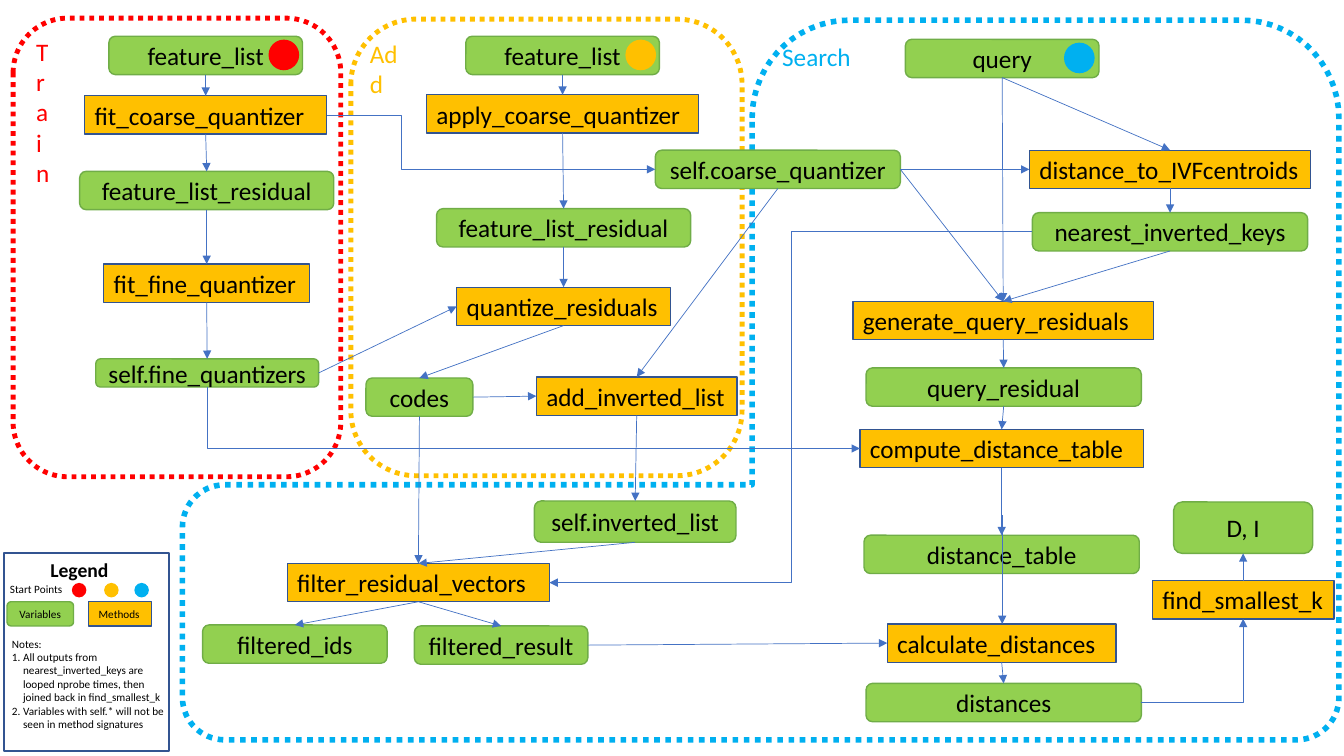
import math

from lxml import etree
from pptx import Presentation
from pptx import util as u
from pptx.dml.color import RGBColor
from pptx.enum import dml, shapes, text
from pptx.oxml.ns import qn

GREEN, AMBER, RED, CYAN = "92D050", "FFC000", "FF0000", "00B0F0"
GREEN_EDGE, NAVY, ARROW, BLACK = "70AD47", "325491", "4472C4", "000000"
RECT = shapes.MSO_SHAPE.RECTANGLE
ROUND = shapes.MSO_SHAPE.ROUNDED_RECTANGLE
OVAL = shapes.MSO_SHAPE.OVAL
TOP, LEFT, BOTTOM, RIGHT = range(4)

VARIABLES = {
    "train:feature_list": (1.08, 0.36, 1.92, 0.38),
    "train:feature_list_residual": (0.79, 1.7, 2.52, 0.38),
    "self.fine_quantizers": (0.95, 3.56, 2.21, 0.28),
    "add:feature_list": (4.62, 0.36, 1.92, 0.38),
    "add:feature_list_residual": (4.33, 2.07, 2.52, 0.38),
    "self.coarse_quantizer": (6.5, 1.49, 2.43, 0.38),
    "codes": (3.63, 3.75, 1.06, 0.38),
    "self.inverted_list": (5.3, 4.97, 2, 0.41),
    "query": (8.98, 0.39, 1.92, 0.38),
    "nearest_inverted_keys": (10.24, 2.11, 2.73, 0.38),
    "query_residual": (8.59, 3.65, 2.73, 0.38),
    "distance_table": (8.57, 5.31, 2.73, 0.38),
    "distances": (8.59, 6.78, 2.73, 0.38),
    "filtered_ids": (2.01, 6.2, 1.83, 0.38),
    "filtered_result": (4.11, 6.21, 1.72, 0.38),
    "D, I": (11.64, 4.98, 1.38, 0.51),
}
METHODS = {
    "fit_coarse_quantizer": (0.84, 0.95, 2.4, 0.38),
    "fit_fine_quantizer": (1.03, 2.62, 2.04, 0.38),
    "apply_coarse_quantizer": (4.23, 0.94, 2.7, 0.38),
    "quantize_residuals": (4.53, 2.85, 2.12, 0.38),
    "add_inverted_list": (5.32, 3.74, 1.99, 0.38),
    "distance_to_IVFcentroids": (10.21, 1.49, 2.79, 0.38),
    "generate_query_residuals": (8.46, 2.99, 2.98, 0.38),
    "compute_distance_table": (8.53, 4.26, 2.81, 0.38),
    "filter_residual_vectors": (2.85, 5.59, 2.6, 0.38),
    "calculate_distances": (8.8, 6.19, 2.27, 0.38),
    "find_smallest_k": (11.43, 5.76, 1.8, 0.38),
}
DOWNWARD = [
    ("train:feature_list", "fit_coarse_quantizer"),
    ("fit_coarse_quantizer", "train:feature_list_residual"),
    ("train:feature_list_residual", "fit_fine_quantizer"),
    ("fit_fine_quantizer", "self.fine_quantizers"),
    ("add:feature_list", "apply_coarse_quantizer"),
    ("apply_coarse_quantizer", "add:feature_list_residual"),
    ("add:feature_list_residual", "quantize_residuals"),
    ("quantize_residuals", "codes"),
    ("self.coarse_quantizer", "add_inverted_list"),
    ("add_inverted_list", "self.inverted_list"),
    ("self.inverted_list", "filter_residual_vectors"),
    ("codes", "filter_residual_vectors"),
    ("filter_residual_vectors", "filtered_ids"),
    ("filter_residual_vectors", "filtered_result"),
    ("query", "distance_to_IVFcentroids"),
    ("query", "generate_query_residuals"),
    ("distance_to_IVFcentroids", "nearest_inverted_keys"),
    ("nearest_inverted_keys", "generate_query_residuals"),
    ("generate_query_residuals", "query_residual"),
    ("query_residual", "compute_distance_table"),
    ("compute_distance_table", "distance_table"),
    ("calculate_distances", "distances"),
]
SIDEWAYS = [
    ("self.fine_quantizers", "quantize_residuals"),
    ("codes", "add_inverted_list"),
    ("self.coarse_quantizer", "distance_to_IVFcentroids"),
    ("filtered_result", "calculate_distances"),
]


def colour(value):
    """Turn a hex string into a colour."""
    return RGBColor.from_string(value)


def inches(box):
    """Turn a tuple of numbers into lengths."""
    return [u.Inches(value) for value in box]


def style(shape, fill, edge, width, dash=None):
    """Set fill and outline, without a shadow."""
    shape.shadow.inherit = False
    if fill:
        shape.fill.solid()
        shape.fill.fore_color.rgb = colour(fill)
    else:
        shape.fill.background()
    shape.line.color.rgb = colour(edge)
    shape.line.width = u.Pt(width)
    if dash:
        shape.line.dash_style = dash


def add_figure(page, kind, box, fill, edge, width=1, dash=None):
    """Add a styled preset shape."""
    shape = page.shapes.add_shape(kind, *inches(box))
    style(shape, fill, edge, width, dash)
    return shape


def write(para, words, size, ink=BLACK, bold=False):
    """Add one run to a paragraph."""
    span = para.add_run()
    span.text = words
    span.font.name = "Calibri"
    span.font.size = u.Pt(size)
    span.font.bold = bold
    span.font.color.rgb = colour(ink)


def add_node(page, words, box, is_variable, size=18):
    """Add a green variable or an amber method."""
    look = (ROUND, GREEN, GREEN_EDGE) if is_variable else (RECT, AMBER, NAVY)
    node = add_figure(page, look[0], box, *look[1:])
    para = node.text_frame.paragraphs[0]
    para.alignment = text.PP_ALIGN.CENTER if is_variable else text.PP_ALIGN.LEFT
    write(para, words, size)
    return node


def add_label(page, words, box, size, ink=BLACK, bold=False, wrap=True):
    """Add a text box and return its frame."""
    frame = page.shapes.add_textbox(*inches(box)).text_frame
    frame.word_wrap = wrap
    write(frame.paragraphs[0], words, size, ink, bold)
    return frame


def add_arrow(page, points, elbow=None, bend=None, end="tailEnd"):
    """Add a thin arrow between two points."""
    kind = shapes.MSO_CONNECTOR.ELBOW if elbow else shapes.MSO_CONNECTOR.STRAIGHT
    arrow = page.shapes.add_connector(kind, *inches(points))
    arrow.line.color.rgb = colour(ARROW)
    arrow.line.width = u.Pt(0.5)
    etree.SubElement(arrow.line._get_or_add_ln(), qn("a:" + end), type="triangle")
    properties = arrow._element.spPr
    etree.SubElement(properties, qn("a:effectLst"))
    if elbow:
        geometry = properties.find(qn("a:prstGeom"))
        geometry.set("prst", elbow)
        if bend:
            guides = geometry.get_or_add_avLst()
            etree.SubElement(guides, qn("a:gd"), name="adj1", fmla=f"val {bend}")
    return arrow


def link(page, nodes, source, start, target, finish, **options):
    """Glue an arrow to the sides of two nodes."""
    arrow = add_arrow(page, (0, 0, 0, 0), **options)
    arrow.begin_connect(nodes[source], start)
    arrow.end_connect(nodes[target], finish)


def add_search_panel(page):
    """Draw the stepped, rounded outline of the search stage."""
    corners = [(8.43, 1.17, 0.97, 180), (12.31, 1.17, 0.97, 270), (12.86, 6.92, 0.42, 0),
               (2.23, 6.92, 0.42, 90), (2.23, 5.23, 0.42, 180)]
    points = [inches((x + r * math.cos(math.radians(start + step)),
                      y + r * math.sin(math.radians(start + step))))
              for x, y, r, start in corners for step in range(0, 91, 6)]
    points.append(inches((7.46, 4.81)))
    outline = page.shapes.build_freeform(*points[0])
    outline.add_line_segments(points[1:], close=True)
    style(outline.convert_to_shape(), None, CYAN, 4, dml.MSO_LINE.ROUND_DOT)


def add_legend(page):
    """Draw the legend with its notes."""
    add_figure(page, RECT, (0.04, 5.49, 1.64, 1.96), None, NAVY, 1.5)
    add_label(page, "Legend", (0.4, 5.49, 0.78, 0.34), 14, bold=True, wrap=False)
    add_label(page, "Start Points", (0, 5.73, 0.86, 0.24), 8)
    add_node(page, "Variables", (0.07, 5.97, 0.66, 0.24), True, 8)
    add_node(page, "Methods", (0.88, 5.97, 0.62, 0.24), False, 8)
    notes = add_label(page, "Notes:", (0.02, 6.27, 1.82, 1.04), 8)
    for words in ("All outputs from nearest_inverted_keys are looped nprobe times, "
                  "then joined back in find_smallest_k",
                  "Variables with self.* will not be seen in method signatures"):
        para = notes.add_paragraph()
        write(para, words, 8)
        layout = para._p.get_or_add_pPr()
        layout.set("marL", str(u.Inches(0.11)))
        layout.set("indent", str(u.Inches(-0.11)))
        etree.SubElement(layout, qn("a:buAutoNum"), type="arabicPeriod")


def main():
    """Build the slide."""
    deck = Presentation()
    deck.slide_width, deck.slide_height = inches((13.33, 7.5))
    page = deck.slides.add_slide(deck.slide_layouts[6])
    add_search_panel(page)
    for box, ink in (((0.13, 0.18, 3.25, 4.55), RED), ((3.48, 0.19, 3.88, 4.53), AMBER)):
        add_figure(page, ROUND, box, None, ink, 3.5, dml.MSO_LINE.ROUND_DOT)
    add_label(page, "Train", (0.26, 0.31, 0.32, 0.35), 18, RED)
    add_label(page, "Add", (3.57, 0.33, 0.54, 1.06), 18, AMBER)
    add_label(page, "Search", (7.66, 0.36, 1.43, 0.4), 18, CYAN)

    nodes = {key: add_node(page, key.split(":")[-1], box, key in VARIABLES)
             for key, box in (VARIABLES | METHODS).items()}
    for source, target in DOWNWARD:
        link(page, nodes, source, BOTTOM, target, TOP)
    for source, target in SIDEWAYS:
        link(page, nodes, source, RIGHT, target, LEFT)
    link(page, nodes, "self.coarse_quantizer", RIGHT, "generate_query_residuals", TOP)
    link(page, nodes, "find_smallest_k", TOP, "D, I", BOTTOM)
    add_arrow(page, (9.94, 5.11, 9.94, 6.19))
    link(page, nodes, "fit_coarse_quantizer", RIGHT, "self.coarse_quantizer", LEFT,
         elbow="bentConnector3", bend=22600)
    link(page, nodes, "nearest_inverted_keys", LEFT, "filter_residual_vectors", RIGHT,
         elbow="bentConnector3", bend=50000)
    link(page, nodes, "distances", RIGHT, "find_smallest_k", BOTTOM, elbow="bentConnector2")
    link(page, nodes, "compute_distance_table", LEFT, "self.fine_quantizers", BOTTOM,
         elbow="bentConnector2", end="headEnd")

    for x, y, size, ink in ((2.67, 0.4, 0.29, RED), (6.21, 0.4, 0.29, AMBER),
                            (10.56, 0.43, 0.29, CYAN), (0.72, 5.79, 0.13, RED),
                            (1.04, 5.79, 0.13, AMBER), (1.34, 5.79, 0.13, CYAN)):
        add_figure(page, OVAL, (x, y, size, size), ink, ink)
    add_legend(page)
    deck.save("out.pptx")


if __name__ == "__main__":
    main()
